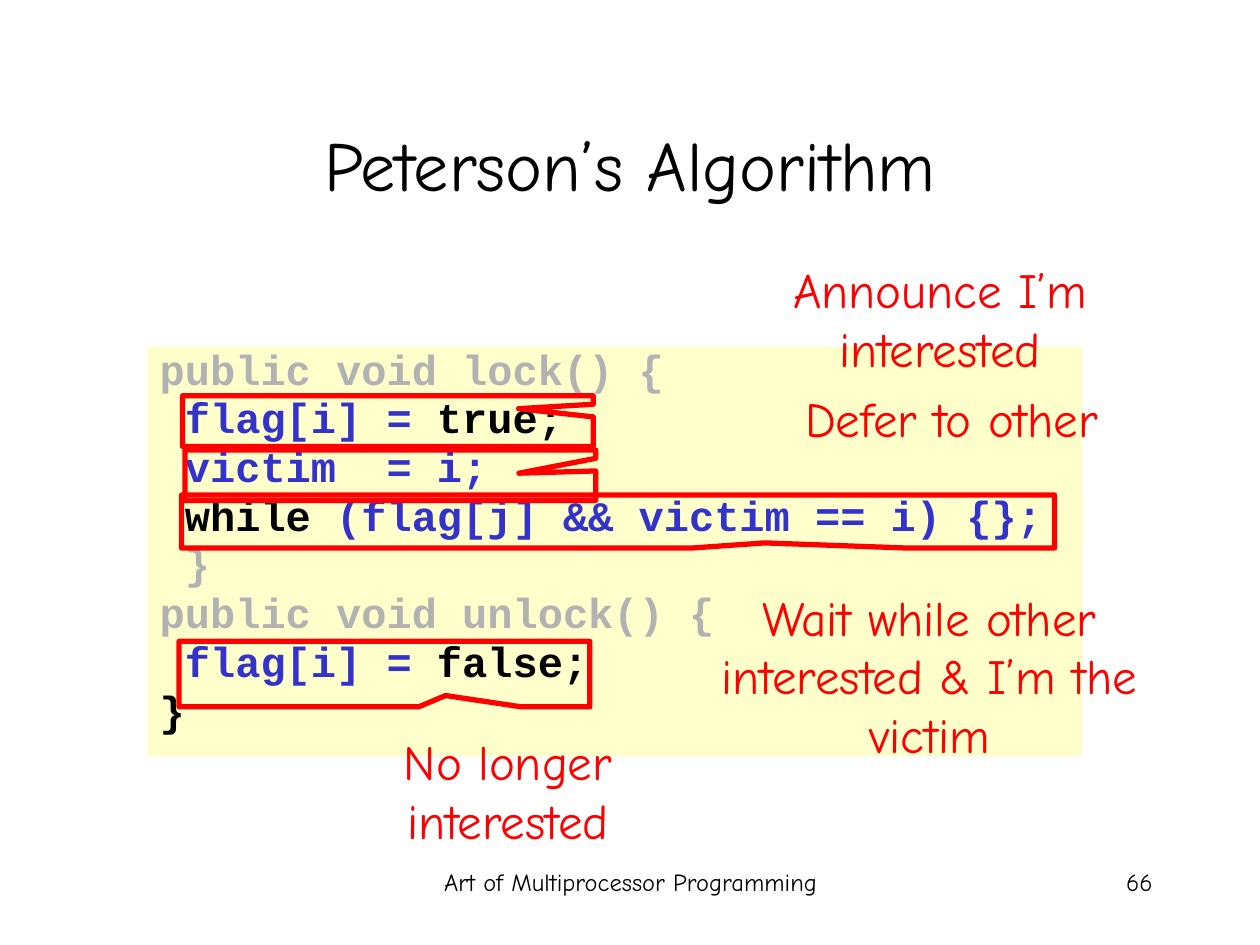
from pptx import Presentation
from pptx.dml.color import RGBColor
from pptx.enum.shapes import MSO_SHAPE
from pptx.enum.text import MSO_ANCHOR, MSO_AUTO_SIZE, PP_ALIGN
from pptx.util import Cm, Pt

RECTANGLE = MSO_SHAPE.RECTANGLE
CALLOUT = MSO_SHAPE.ROUNDED_RECTANGULAR_CALLOUT
TOP, MIDDLE = MSO_ANCHOR.TOP, MSO_ANCHOR.MIDDLE
NO_AUTOFIT = MSO_AUTO_SIZE.NONE
LEFT, CENTER, RIGHT = PP_ALIGN.LEFT, PP_ALIGN.CENTER, PP_ALIGN.RIGHT

TITLE_ONLY = 5
TEXT_FONT, CODE_FONT = "Comic Neue", "Courier New"
COLORS = {
    "black": "000000",
    "dim": "B2B2B2",
    "blue": "3333CC",
    "red": "FF0000",
    "panel": "FFFFCC",
}

# Each code line is a list of (text, colour) spans
CODE_LINES = [
    [("public void lock() {", "dim")],
    [(" flag[i] = ", "blue"), ("true;", "black")],
    [(" victim  = i;", "blue")],
    [(" while ", "black"), ("(flag[j] && victim == i) {};", "blue")],
    [(" }", "dim")],
    [("public void unlock() {", "dim")],
    [(" flag[i] = ", "blue"), ("false;", "black")],
    [("}", "black")],
]

# Callout area, callout tip, label area, label text
NOTES = [
    ((3.68, 7.98, 8.28, 1.02), (0.318, -0.246),
     (15.19, 5.11, 7.52, 2.62), "Announce I’m interested"),
    ((3.73, 9.07, 8.28, 1.02), (0.313, -0.039),
     (15.42, 7.7, 7.52, 1.45), "Defer to other"),
    ((3.61, 12.93, 8.28, 1.32), (0.149, 0.328),
     (6.48, 14.63, 7.52, 2.62), "No longer interested"),
    ((3.66, 9.98, 17.6, 1.07), (0.168, 0.402),
     (13.97, 11.71, 9.53, 3.81), "Wait while other interested & I’m the victim"),
]


def rgb(name):
    return RGBColor.from_string(COLORS[name])


def lengths(area):
    return [Cm(value) for value in area]


def write_text(frame, text, size, color="black", align=CENTER):
    frame.word_wrap = True
    frame.auto_size = NO_AUTOFIT
    para = frame.paragraphs[0]
    para.text = text
    para.alignment = align
    para.font.name = TEXT_FONT
    para.font.size = Pt(size)
    para.font.color.rgb = rgb(color)


def add_title(page, text):
    title = page.shapes.title
    title.left, title.top, title.width, title.height = lengths((1.91, 1.7, 21.59, 3.18))
    write_text(title.text_frame, text, 40)
    title.text_frame.vertical_anchor = MIDDLE


def add_label(page, area, text, size, color="black", align=CENTER):
    box = page.shapes.add_textbox(*lengths(area))
    write_text(box.text_frame, text, size, color, align)


def add_code(page, area, lines):
    panel = page.shapes.add_shape(RECTANGLE, *lengths(area))
    panel.shadow.inherit = False
    panel.fill.solid()
    panel.fill.fore_color.rgb = rgb("panel")
    panel.line.fill.background()
    frame = panel.text_frame
    frame.word_wrap = True
    frame.vertical_anchor = TOP
    for index, spans in enumerate(lines):
        para = frame.add_paragraph() if index else frame.paragraphs[0]
        para.alignment = LEFT
        para.line_spacing = 0.8
        if index:
            para.space_before = Pt(4.8)
        # Hanging indent for wrapped lines
        properties = para._p.get_or_add_pPr()
        properties.set("marL", str(Cm(0.64)))
        properties.set("indent", str(-Cm(0.64)))
        para.font.name = CODE_FONT
        para.font.size = Pt(24)
        para.font.bold = True
        for text, color in spans:
            span = para.add_run()
            span.text = text
            span.font.color.rgb = rgb(color)


def add_callout(page, area, tip):
    callout = page.shapes.add_shape(CALLOUT, *lengths(area))
    callout.shadow.inherit = False
    callout.fill.background()
    callout.line.color.rgb = rgb("red")
    callout.line.width = Pt(3)
    # Tip position, then square corners
    for index, value in enumerate((*tip, 0)):
        callout.adjustments[index] = value


def main():
    deck = Presentation()
    deck.slide_width, deck.slide_height = Cm(25.4), Cm(19.05)
    page = deck.slides.add_slide(deck.slide_layouts[TITLE_ONLY])

    # Title and footer
    add_title(page, "Peterson’s Algorithm")
    add_label(page, (8.69, 17.35, 8.05, 1.27), "Art of Multiprocessor Programming", 14)
    add_label(page, (18.21, 17.35, 5.28, 1.27), "66", 14, align=RIGHT)

    # Code with its annotated statements
    add_code(page, (2.97, 6.99, 18.85, 8.26), CODE_LINES)
    for callout_area, tip, label_area, text in NOTES:
        add_callout(page, callout_area, tip)
        add_label(page, label_area, text, 28, "red")

    deck.save("out.pptx")


if __name__ == "__main__":
    main()
